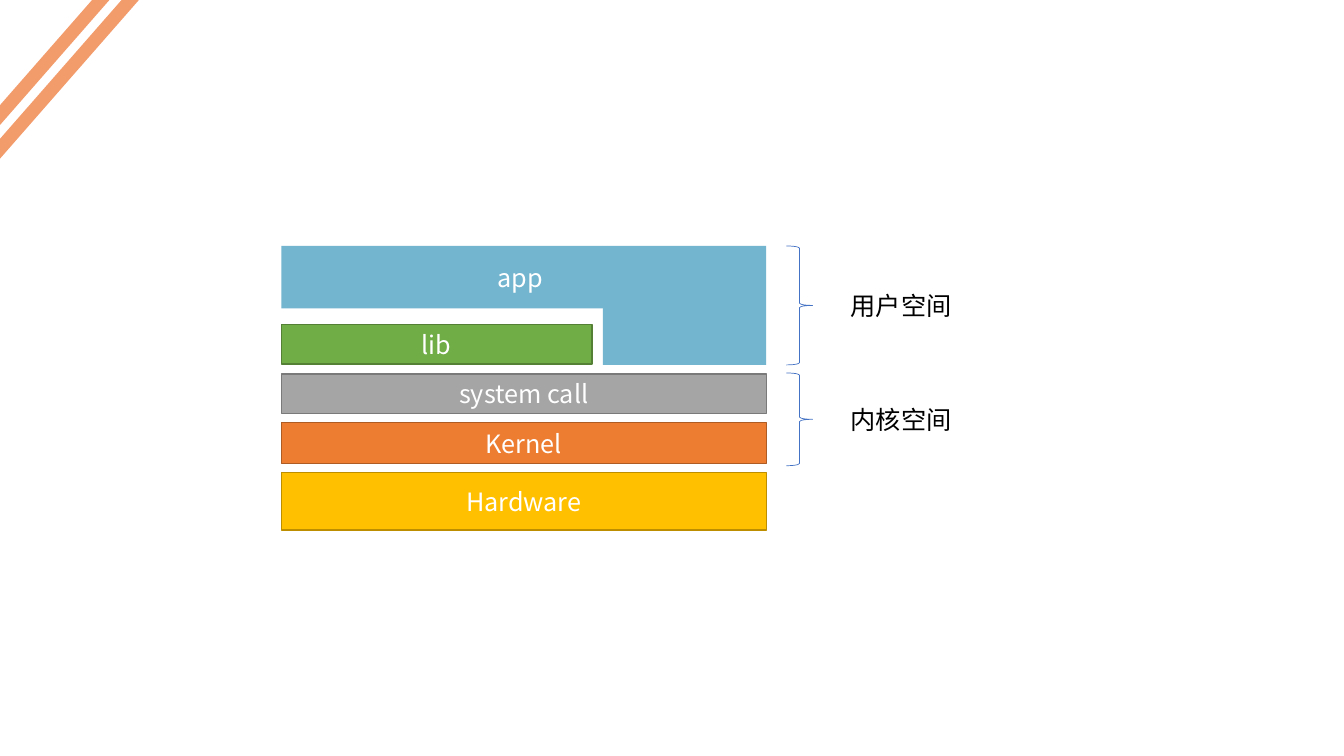
from lxml.etree import SubElement
from pptx import Presentation
from pptx.dml.color import RGBColor
from pptx.enum.shapes import MSO_SHAPE
from pptx.enum.text import MSO_ANCHOR, MSO_AUTO_SIZE, PP_ALIGN
from pptx.oxml.ns import qn
from pptx.util import Inches, Pt

FONT = "Noto Sans CJK SC"


def paint(fmt, color):
    """Give a fill or a line fill a solid colour, or none."""
    if color:
        fmt.solid()
        fmt.fore_color.rgb = RGBColor.from_string(color)
    else:
        fmt.background()


def add_box(s, box, fill=None, line=None, width=1, kind=MSO_SHAPE.RECTANGLE):
    """Add a flat preset shape at left, top, width, height in inches."""
    sp = s.shapes.add_shape(kind, *map(Inches, box))
    sp.shadow.inherit = False
    paint(sp.fill, fill)
    paint(sp.line.fill, line)
    if line:
        sp.line.width = Pt(width)
    return sp


def write(tf, text, size=18, color="FFFFFF", align=PP_ALIGN.CENTER, wrap=True):
    """Write one formatted line into a text frame."""
    tf.word_wrap = wrap
    tf.vertical_anchor = MSO_ANCHOR.MIDDLE
    p = tf.paragraphs[0]
    p.alignment = align
    r = p.add_run()
    r.text = text
    r.font.size = Pt(size)
    paint(r.font.fill, color)
    r.font.name = FONT
    SubElement(r._r.get_or_add_rPr(), qn("a:ea"), typeface=FONT)


def add_stripes(s, left, top):
    """Draw two translucent diagonal stripes across the corner."""
    for dx, dy in ((0.17, 0.14), (0, 0)):
        sp = add_box(s, (left + dx, top + dy, 2.32, 0.13), "ED6A23")
        sp.rotation = 311.2
        color = sp.fill._xPr.find(qn("a:solidFill"))[0]
        SubElement(color, qn("a:alpha"), val="67000")


def add_layers(s, left, top, width):
    """Stack the system layers, with the app reaching down beside the lib."""
    layers = (
        ("Hardware", 2.25, 0.57, width, "FFC000", "BD8E00"),
        ("Kernel", 1.75, 0.41, width, "ED7D31", "AF5C24"),
        ("system call", 1.27, 0.39, width, "A5A5A5", "7A7A7A"),
        ("lib", 0.78, 0.39, 3.08, "70AD47", "538035"),
    )
    for text, dy, h, w, fill, line in layers:
        sp = add_box(s, (left, top + dy, w, h), fill, line)
        write(sp.text_frame, text)
    app_w = 3.19
    add_box(s, (left + app_w, top, width - app_w, 1.18), "73B5CF")
    app = add_box(s, (left, top, app_w, 0.62), "73B5CF")
    app.text_frame.margin_left = Inches(1.65)
    write(app.text_frame, "app")


def add_space(s, text, left, top, height):
    """Bracket a group of layers and name it to the right."""
    add_box(s, (left, top, 0.26, height), line="4472C4", width=0.5,
            kind=MSO_SHAPE.RIGHT_BRACE)
    label_h = 0.4
    box = (left + 0.54, top + (height - label_h) / 2, 1.2, label_h)
    tf = s.shapes.add_textbox(*map(Inches, box)).text_frame
    write(tf, text, color="000000", align=PP_ALIGN.LEFT, wrap=False)
    tf.auto_size = MSO_AUTO_SIZE.SHAPE_TO_FIT_TEXT


def main():
    """Build the slide and save it."""
    prs = Presentation()
    prs.slide_width, prs.slide_height = Inches(13.33), Inches(7.5)
    s = prs.slides.add_slide(prs.slide_layouts[6])
    paint(s.background.fill, "FFFFFF")
    add_stripes(s, -0.69, 0.54)
    add_layers(s, 2.79, 2.44, 4.81)
    add_space(s, "内核空间", 7.8, 3.7, 0.92)
    add_space(s, "用户空间", 7.8, 2.44, 1.18)
    prs.save("out.pptx")


if __name__ == "__main__":
    main()
